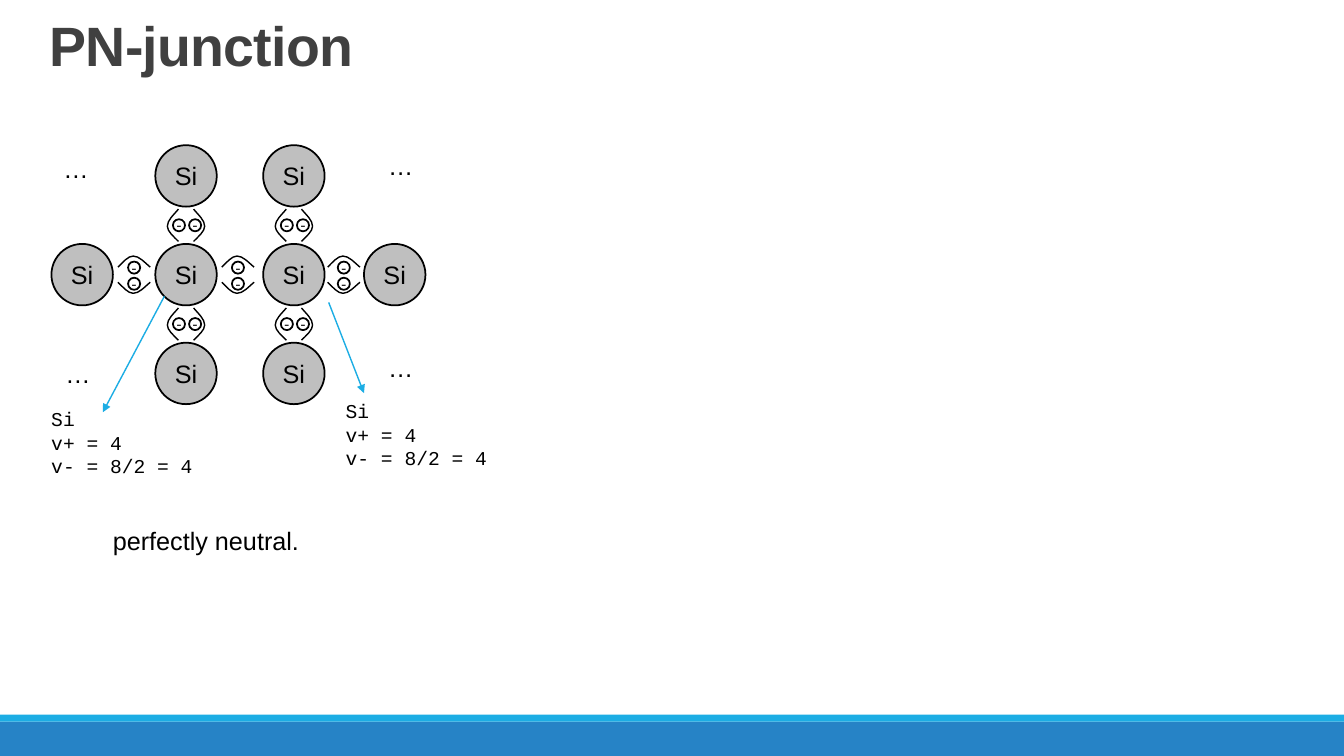
from dataclasses import dataclass
from typing import NamedTuple

from lxml.etree import SubElement
from pptx import Presentation
from pptx.dml.color import RGBColor
from pptx.enum.shapes import MSO_CONNECTOR, MSO_SHAPE
from pptx.enum.text import MSO_ANCHOR, MSO_AUTO_SIZE, PP_ALIGN
from pptx.oxml.ns import qn
from pptx.util import Inches, Pt


@dataclass(frozen=True)
class Theme:
    title: RGBColor = RGBColor(0x40, 0x40, 0x40)
    ink: RGBColor = RGBColor(0, 0, 0)
    atom: RGBColor = RGBColor(0xBF, 0xBF, 0xBF)
    accent: RGBColor = RGBColor(0x1C, 0xAD, 0xE4)
    footer: RGBColor = RGBColor(0x26, 0x83, 0xC6)
    sans: str = "Arial"
    mono: str = "Courier New"
    title_size: float = 39.6
    body_size: float = 18
    note_size: float = 14
    charge_size: float = 10
    outline: float = 1.25
    thin: float = 1


class Point(NamedTuple):
    x: float
    y: float


class Bond(NamedTuple):
    center: Point
    horizontal: bool


class Caption(NamedTuple):
    left: float
    top: float
    width: float
    height: float
    lines: tuple[str, ...]
    font: str
    size: float


class Arrow(NamedTuple):
    start: Point
    end: Point


THEME = Theme()
ATOM_DIAMETER = 0.61
ELECTRON_DIAMETER = 0.12
ELECTRON_OFFSET = 0.08
ELECTRON_SHIFT = 0.01
ORBIT_OFFSET = 0.13
ORBIT_WIDTH = 0.11
ORBIT_HEIGHT = 0.32
ORBIT = (
    Point(0.11, 0),
    Point(0.06, 0.06),
    Point(0, 0.11),
    Point(0, 0.17),
    Point(0, 0.22),
    Point(0.06, 0.27),
    Point(0.11, 0.32),
)

COLUMNS = [left + ATOM_DIAMETER / 2 for left in (0.51, 1.54, 2.61, 3.61)]
ROWS = [top + ATOM_DIAMETER / 2 for top in (1.44, 2.42, 3.4)]
INNER_COLUMNS = COLUMNS[1:3]
ATOMS = [Point(x, ROWS[1]) for x in COLUMNS]
ATOMS += [Point(x, y) for y in (ROWS[0], ROWS[2]) for x in INNER_COLUMNS]
BONDS = [
    Bond(Point(x, (upper + lower) / 2), False)
    for upper, lower in zip(ROWS, ROWS[1:])
    for x in INNER_COLUMNS
]
BONDS += [Bond(Point(x, ROWS[1]), True) for x in (1.33, 2.36, 3.41)]
CONTINUATIONS = (Point(3.75, 1.44), Point(0.53, 1.47), Point(3.75, 3.45), Point(0.55, 3.51))

BALANCE = ("Si", "v+ = 4", "v- = 8/2 = 4")
CAPTIONS = (
    Caption(0.41, 3.99, 1.95, 0.81, BALANCE, THEME.mono, THEME.note_size),
    Caption(3.33, 3.91, 1.95, 0.81, BALANCE, THEME.mono, THEME.note_size),
    Caption(1.02, 5.16, 2.55, 0.4, ("perfectly neutral.",), THEME.sans, THEME.body_size),
)
ARROWS = (
    Arrow(Point(1.63, 2.94), Point(1.02, 4.09)),
    Arrow(Point(3.26, 3), Point(3.61, 3.9)),
)


def add_text(paragraph, text: str, font: str, size: float, color: RGBColor = THEME.ink):
    run = paragraph.add_run()
    run.text = text
    run.font.name = font
    run.font.size = Pt(size)
    run.font.color.rgb = color
    return run


def add_title(slide, text: str) -> None:
    title = slide.shapes.title
    title.left, title.top = Inches(0.39), Inches(0.11)
    title.width, title.height = Inches(12.57), Inches(0.71)
    frame = title.text_frame
    frame.auto_size = MSO_AUTO_SIZE.NONE
    frame.vertical_anchor = MSO_ANCHOR.BOTTOM
    paragraph = frame.paragraphs[0]
    paragraph.alignment = PP_ALIGN.LEFT
    paragraph.line_spacing = 0.85
    run = add_text(paragraph, text, THEME.sans, THEME.title_size, THEME.title)
    run.font.bold = True
    run.font._element.set("spc", "-50")


def add_master_bar(slide, master, top: float, height: float, color: RGBColor) -> None:
    bar = slide.shapes.add_shape(
        MSO_SHAPE.RECTANGLE, 0, Inches(top), Inches(13.33), Inches(height)
    )
    bar.shadow.inherit = False
    bar.fill.solid()
    bar.fill.fore_color.rgb = color
    bar.line.fill.background()
    next_id = max(shape.shape_id for shape in master.shapes) + 1
    bar._element.nvSpPr.cNvPr.set("id", str(next_id))
    master.shapes._spTree.append(bar._element)


def add_circle(shapes, center: Point, diameter: float, text: str, font: str, size: float):
    circle = shapes.add_shape(
        MSO_SHAPE.OVAL,
        Inches(center.x - diameter / 2),
        Inches(center.y - diameter / 2),
        Inches(diameter),
        Inches(diameter),
    )
    circle.shadow.inherit = False
    circle.fill.background()
    circle.line.color.rgb = THEME.ink
    circle.line.width = Pt(THEME.outline)
    frame = circle.text_frame
    frame.margin_left = frame.margin_right = frame.margin_top = frame.margin_bottom = 0
    frame.vertical_anchor = MSO_ANCHOR.MIDDLE
    paragraph = frame.paragraphs[0]
    paragraph.alignment = PP_ALIGN.CENTER
    add_text(paragraph, text, font, size)
    return circle


def add_atom(shapes, center: Point) -> None:
    atom = add_circle(shapes, center, ATOM_DIAMETER, "Si", THEME.sans, THEME.body_size)
    atom.fill.solid()
    atom.fill.fore_color.rgb = THEME.atom


def place(bond: Bond, across: float) -> Point:
    if bond.horizontal:
        return Point(bond.center.x, bond.center.y + across)
    return Point(bond.center.x + across, bond.center.y)


def add_orbit(shapes, center: Point, mirrored: bool, rotation: float) -> None:
    left, top = center.x - ORBIT_WIDTH / 2, center.y - ORBIT_HEIGHT / 2
    vertices = [
        (Inches(left + (ORBIT_WIDTH - x if mirrored else x)), Inches(top + y))
        for x, y in ORBIT
    ]
    builder = shapes.build_freeform(*vertices[0])
    builder.add_line_segments(vertices[1:], close=False)
    orbit = builder.convert_to_shape()
    orbit.rotation = rotation
    orbit.shadow.inherit = False
    orbit.fill.background()
    orbit.line.color.rgb = THEME.ink
    orbit.line.width = Pt(THEME.thin)
    segments = list(orbit._element.iter(qn("a:lnTo")))
    outline = segments[0].getparent()
    for start in range(0, len(segments), 3):
        curve = SubElement(outline, qn("a:cubicBezTo"))
        for segment in segments[start:start + 3]:
            curve.append(segment[0])
            outline.remove(segment)


def add_bond(shapes, bond: Bond) -> None:
    rotation = 90 if bond.horizontal else 0
    for side in (-1, 1):
        add_orbit(shapes, place(bond, side * ORBIT_OFFSET), side > 0, rotation)
    for side in (-1, 1):
        electron = place(bond, side * ELECTRON_OFFSET + ELECTRON_SHIFT)
        add_circle(shapes, electron, ELECTRON_DIAMETER, "-", THEME.mono, THEME.charge_size)


def add_caption(shapes, caption: Caption) -> None:
    box = shapes.add_textbox(*(Inches(length) for length in caption[:4]))
    frame = box.text_frame
    frame.word_wrap = True
    frame.auto_size = MSO_AUTO_SIZE.SHAPE_TO_FIT_TEXT
    for index, line in enumerate(caption.lines):
        paragraph = frame.add_paragraph() if index else frame.paragraphs[0]
        add_text(paragraph, line, caption.font, caption.size)


def add_arrow(shapes, arrow: Arrow) -> None:
    ends = (Inches(length) for point in arrow for length in point)
    connector = shapes.add_connector(MSO_CONNECTOR.STRAIGHT, *ends)
    connector.line.color.rgb = THEME.accent
    connector.line.width = Pt(THEME.thin)
    SubElement(connector.line._get_or_add_ln(), qn("a:tailEnd"), type="triangle")
    SubElement(connector._element.spPr, qn("a:effectLst"))


def main() -> None:
    presentation = Presentation()
    presentation.slide_width, presentation.slide_height = Inches(13.33), Inches(7.5)
    slide = presentation.slides.add_slide(presentation.slide_layouts[5])
    add_master_bar(slide, presentation.slide_master, 7.16, 0.34, THEME.footer)
    add_master_bar(slide, presentation.slide_master, 7.09, 0.07, THEME.accent)
    add_title(slide, "PN-junction")
    lattice = slide.shapes.add_group_shape().shapes
    for atom in ATOMS:
        add_atom(lattice, atom)
    for corner in CONTINUATIONS:
        add_caption(lattice, Caption(*corner, 0.58, 0.38, ("…",), THEME.sans, THEME.body_size))
    for bond in BONDS:
        add_bond(lattice, bond)
    for arrow in ARROWS:
        add_arrow(slide.shapes, arrow)
    for caption in CAPTIONS:
        add_caption(slide.shapes, caption)
    presentation.save("out.pptx")


main()
